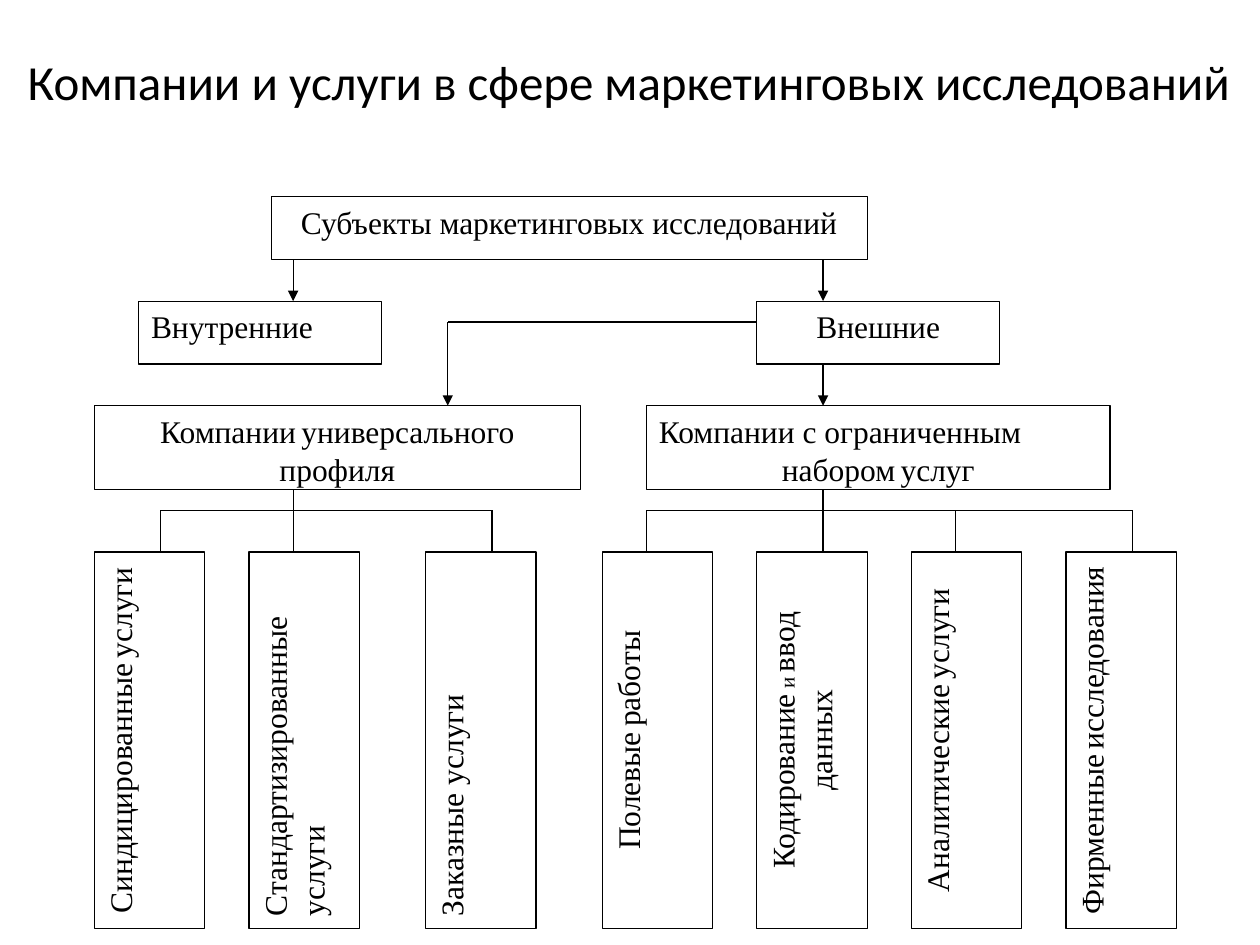
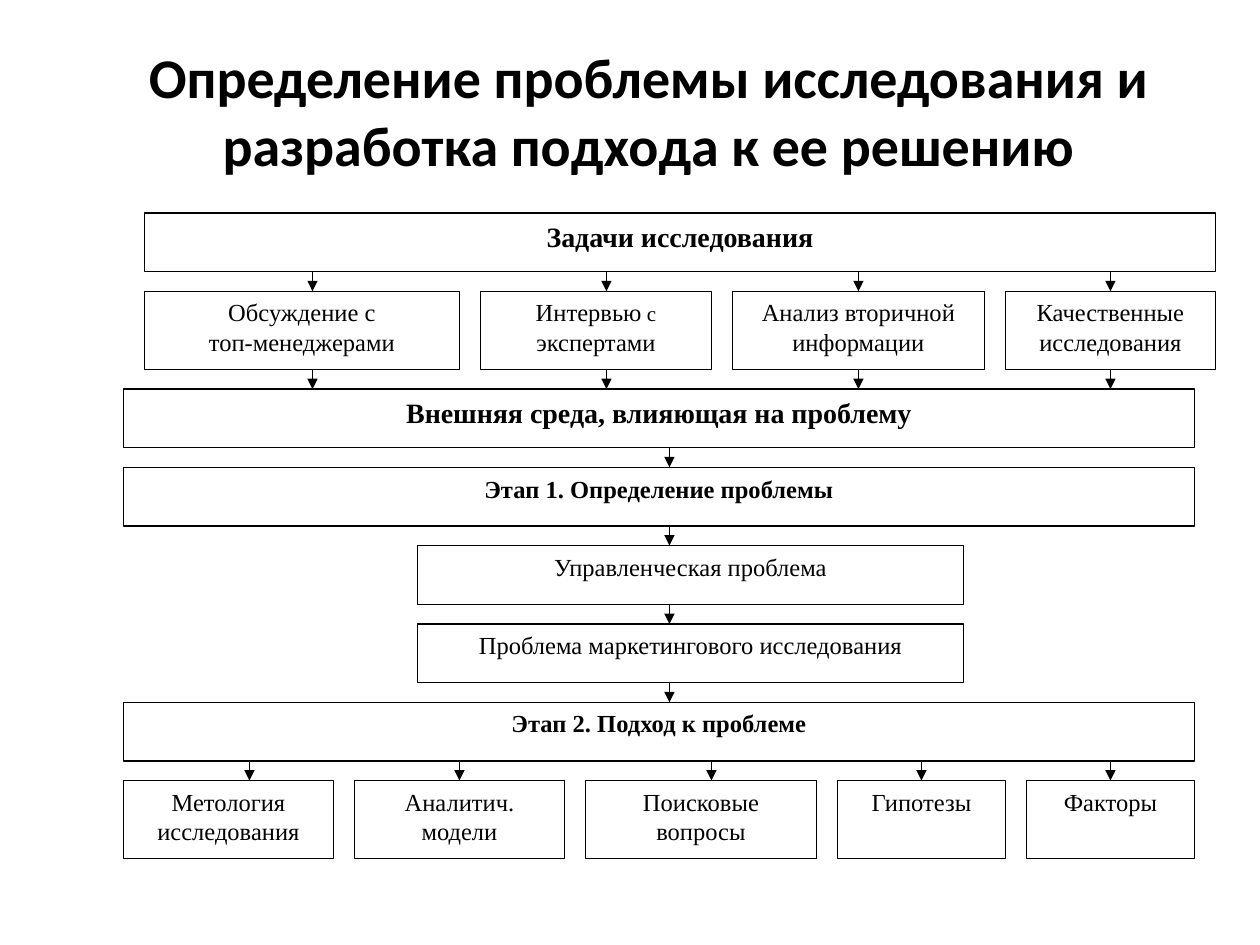
from lxml import etree
from pptx import Presentation
from pptx.dml.color import RGBColor
from pptx.enum.shapes import MSO_CONNECTOR, MSO_SHAPE
from pptx.enum.text import MSO_ANCHOR, MSO_AUTO_SIZE, PP_ALIGN
from pptx.oxml.ns import qn
from pptx.util import Inches, Pt

LEFT, MID = PP_ALIGN.LEFT, PP_ALIGN.CENTER
TOP, FIXED = MSO_ANCHOR.TOP, MSO_AUTO_SIZE.NONE
RECT, LINE = MSO_SHAPE.RECTANGLE, MSO_CONNECTOR.STRAIGHT

THEME = {
    "ink": RGBColor(0, 0, 0),
    "paper": RGBColor(255, 255, 255),
    "head": "Calibri",
    "body": "Times New Roman",
    "rule": Pt(0.75),
    "small": 12,
    "text": 14,
    "lead": 16,
    "large": 18,
}
FRAME = {"word_wrap": True, "auto_size": FIXED, "vertical_anchor": TOP}


def box(page, grid, cell, text, size, bold=False, aligns=(MID, MID), turn=False):
    x, y, dx, dy = grid
    col, row, wide, high = cell
    shape = page.shapes.add_shape(
        RECT, Inches(x + col * dx), Inches(y + row * dy),
        Inches(wide * dx), Inches(high * dy))
    shape.shadow.inherit = False
    shape.fill.solid()
    shape.fill.fore_color.rgb = THEME["paper"]
    shape.line.color.rgb = THEME["ink"]
    shape.line.width = THEME["rule"]
    frame = shape.text_frame
    for key, value in FRAME.items():
        setattr(frame, key, value)
    if turn:
        shape._element.txBody.find(qn("a:bodyPr")).set("vert", "vert270")
    for i, (words, align) in enumerate(zip(text.split("\n"), aligns)):
        para = frame.add_paragraph() if i else frame.paragraphs[0]
        para.alignment = align
        for n, part in enumerate(words.split("|")):
            if not part:
                continue
            run = para.add_run()
            run.text = part
            points = THEME["small"] if n % 2 else size
            style = {"name": THEME["body"], "size": Pt(points), "bold": bold}
            for key, value in style.items():
                setattr(run.font, key, value)
            run.font.color.rgb = THEME["ink"]


def link(page, grid, start, end, arrow=False):
    x, y, dx, dy = grid
    line = page.shapes.add_connector(
        LINE, Inches(x + start[0] * dx), Inches(y + start[1] * dy),
        Inches(x + end[0] * dx), Inches(y + end[1] * dy))
    line.line.color.rgb = THEME["ink"]
    line.line.width = THEME["rule"]
    if arrow:
        etree.SubElement(line.line._get_or_add_ln(), qn("a:tailEnd"), type="triangle")
    etree.SubElement(line._element.spPr, qn("a:effectLst"))


deck = Presentation()
deck.slide_width, deck.slide_height = Inches(10), Inches(7.5)

heads = [
    ("Компании и услуги в сфере маркетинговых исследований",
     (0.12, 0.36, 9.76, 0.57), LEFT, {"size": Pt(28), "bold": False}),
    ("Определение проблемы исследования и разработка подхода к ее решению",
     (0.66, 0.29, 8.98, 1.18), MID, {"size": Pt(32), "bold": True}),
]
pages = []
for words, place, align, style in heads:
    page = deck.slides.add_slide(deck.slide_layouts[5])
    title = page.shapes.title
    title.left, title.top, title.width, title.height = map(Inches, place)
    frame = title.text_frame
    frame.text = words
    for key, value in FRAME.items():
        setattr(frame, key, value)
    para = frame.paragraphs[0]
    para.alignment = align
    for key, value in {"name": THEME["head"], **style}.items():
        setattr(para.runs[0].font, key, value)
    para.runs[0].font.color.rgb = THEME["ink"]
    pages.append(page)
firms, steps = pages

grid = (0.75, 1.56, 7.71 / 44, 5.81 / 35)
size = THEME["large"]
for cell, text, aligns in [
    ((8, 0, 27, 3), "Субъекты маркетинговых исследований", (MID,)),
    ((2, 5, 11, 3), "Внутренние", (LEFT,)),
    ((30, 5, 11, 3), "Внешние", (MID,)),
    ((0, 10, 22, 4), "Компании| |универсального\nпрофиля", (MID, MID)),
    ((25, 10, 21, 4), "Компании с ограниченным\nнабором| |услуг", (LEFT, MID)),
]:
    box(firms, grid, cell, text, size, aligns=aligns)

for col, text, align in [
    (0, "Синдицированные| |услуги", MID),
    (7, "Стандартизированные услуги", LEFT),
    (15, "Заказные услуги", LEFT),
    (23, "Полевые| |работы", MID),
    (30, "Кодирование| и |ввод| |данных", MID),
    (37, "Аналитические| |услуги", MID),
    (44, "Фирменные| |исследования", MID),
]:
    box(firms, grid, (col, 17, 5, 18), text, size, aligns=(align,), turn=True)

for col, top, end in [(9, 3, 5), (33, 3, 5), (33, 8, 10), (16, 6, 10)]:
    link(firms, grid, (col, top), (col, end), True)
link(firms, grid, (30, 6), (16, 6))

for stem, drops in [(9, (3, 18)), (33, (25, 39, 47))]:
    link(firms, grid, (drops[0], 15), (drops[-1], 15))
    link(firms, grid, (stem, 14), (stem, 17))
    for col in drops:
        link(firms, grid, (col, 15), (col, 17))

grid = (0.98, 1.69, 8.5 / 51, 4.66 / 30)
for col, row, wide, text, size, bold in [
    (1, 0, 51, "Задачи исследования", "lead", True),
    (0, 9, 51, "Внешняя среда, влияющая на проблему", "lead", True),
    (0, 13, 51, "Этап 1. Определение проблемы", "text", True),
    (14, 17, 26, "Управленческая проблема", "text", False),
    (14, 21, 26, "Проблема маркетингового исследования", "text", False),
    (0, 25, 51, "Этап 2. Подход к проблеме", "text", True),
]:
    box(steps, grid, (col, row, wide, 3), text, THEME[size], bold)

for col, row, cells in [
    (1, 4, [(15, "Обсуждение с\nтоп-менеджерами"),
            (11, "Интервью| с|\nэкспертами"),
            (12, "Анализ вторичной информации"),
            (10, "Качественные\nисследования")]),
    (0, 29, [(10, "Метология\nисследования"),
             (10, "Аналитич.\nмодели"),
             (11, "Поисковые\nвопросы"),
             (8, "Гипотезы"),
             (8, "Факторы")]),
]:
    for wide, text in cells:
        box(steps, grid, (col, row, wide, 4), text, THEME["text"])
        col += wide + 1

for rows, cols in [
    ((3, 8), (9, 23, 35, 47)),
    ((12, 16, 20, 24), (26,)),
    ((28,), (6, 16, 28, 38, 47)),
]:
    for row in rows:
        for col in cols:
            link(steps, grid, (col, row), (col, row + 1), True)

deck.save("out.pptx")
